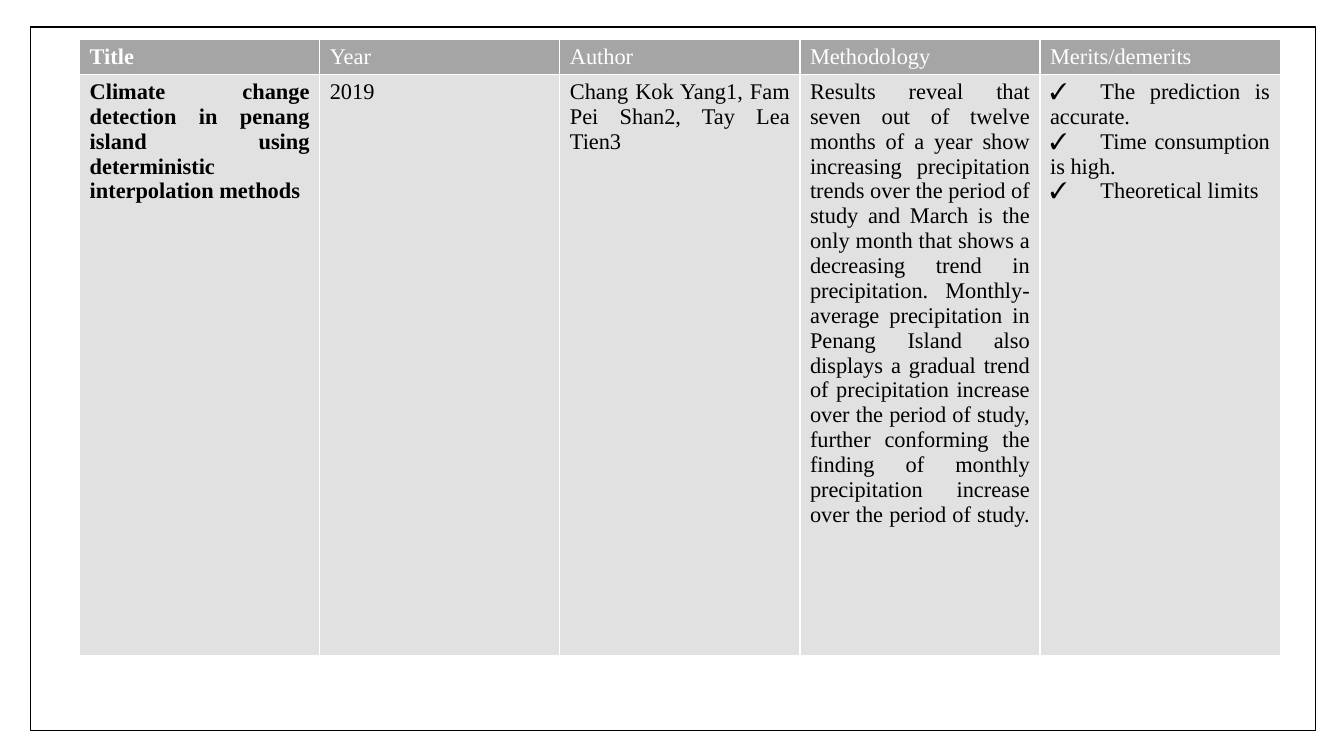
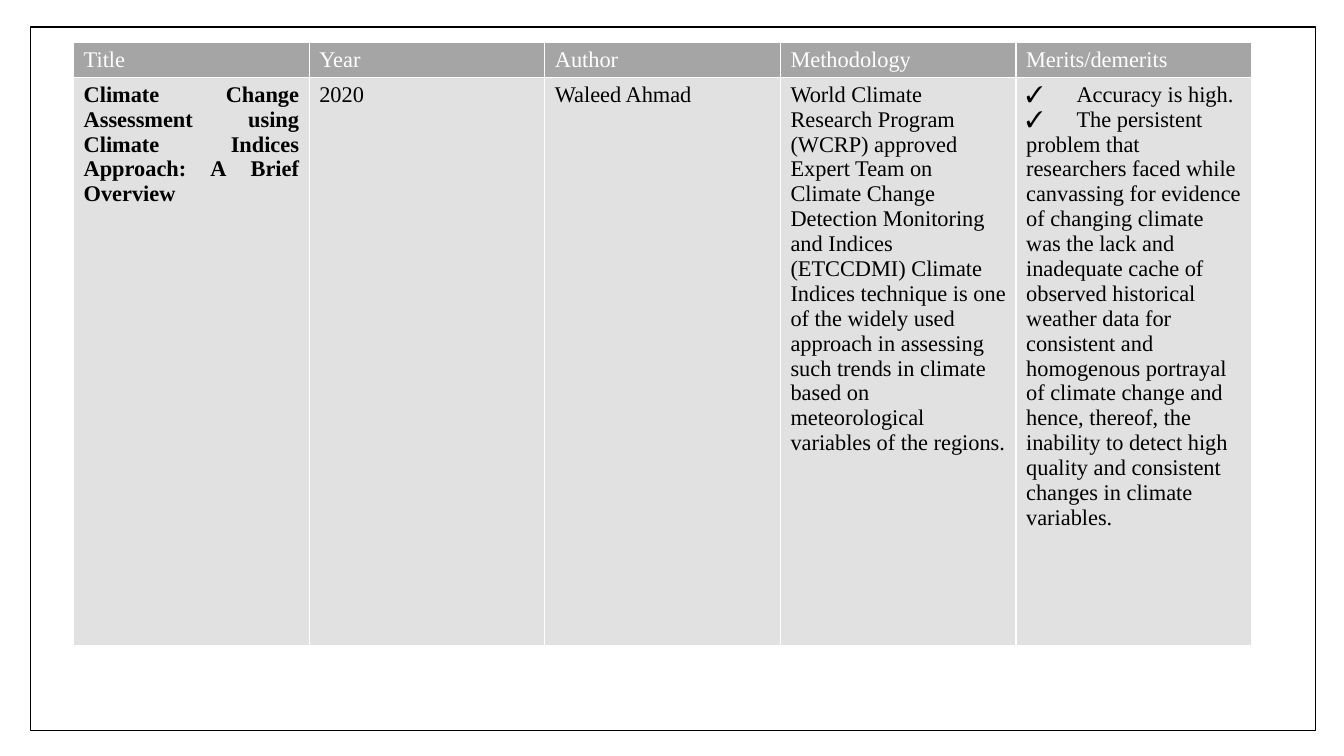
from lxml import etree
from pptx import Presentation
from pptx.dml import color
from pptx.enum import shapes, text
from pptx.oxml import ns
from pptx.util import Pt

FONT, SIZE = "Times New Roman", 16
WHITE, BLACK, HEAD, BODY = "FFFFFF", "000000", "A5A5A5", "E1E1E1"
HEADS = ["Title", "Year", "Author", "Methodology", "Merits/demerits"]
TICK = "\u2713\t"

# Each paper: table left and top, column width, row heights,
# count of justified cells, and one list of paragraphs per cell.
PAPERS = [
    dict(left=56.9, top=28.1, wide=171.5, rows=(24.5, 415.4), just=5, cells=[
        ["Climate change detection in penang island using deterministic "
         "interpolation methods"],
        ["2019"],
        ["Chang Kok Yang1, Fam Pei Shan2, Tay Lea Tien3"],
        ["Results reveal that seven out of twelve months of a year show "
         "increasing precipitation trends over the period of study and March "
         "is the only month that shows a decreasing trend in precipitation. "
         "Monthly-average precipitation in Penang Island also displays a "
         "gradual trend of precipitation increase over the period of study, "
         "further conforming the finding of monthly precipitation increase "
         "over the period of study. "],
        [TICK + "The prediction is accurate.",
         TICK + "Time consumption is high.",
         TICK + "Theoretical limits"],
    ]),
    dict(left=52.6, top=30.2, wide=168.3, rows=(22.3, 406.1), just=3, cells=[
        ["Climate Change Assessment using Climate Indices Approach: "
         "A Brief Overview"],
        ["2020"],
        ["Waleed Ahmad"],
        ["World Climate Research Program (WCRP) approved Expert Team on "
         "Climate Change Detection Monitoring and Indices (ETCCDMI) Climate "
         "Indices technique is one of the widely used approach in assessing "
         "such trends in climate based on meteorological variables of the "
         "regions. "],
        [TICK + "Accuracy is high.",
         TICK + "The persistent problem that researchers faced while "
         "canvassing for evidence of changing climate was the lack and "
         "inadequate cache of observed historical weather data for "
         "consistent and homogenous portrayal of climate change and hence, "
         "thereof, the inability to detect high quality and consistent "
         "changes in climate variables."],
    ]),
]


def paint(target, tint):
    """Give a fill a solid colour from a hex string."""
    target.solid()
    target.fore_color.rgb = color.RGBColor.from_string(tint)


def frame(slide):
    """Draw the thin border round the slide."""
    box = slide.shapes.add_shape(shapes.MSO_SHAPE.RECTANGLE, Pt(21.6),
                                 Pt(19.4), Pt(918), Pt(502.6))
    box.shadow.inherit = False
    box.fill.background()
    box.line.width = Pt(1)
    paint(box.line.fill, BLACK)


def edge(cell):
    """Put a white line on all four sides of a cell."""
    props = cell._tc.get_or_add_tcPr()
    for spot, side in enumerate("LRTB"):
        line = etree.Element(ns.qn("a:ln" + side), w=str(Pt(1)))
        fill = etree.SubElement(line, ns.qn("a:solidFill"))
        etree.SubElement(fill, ns.qn("a:srgbClr"), val=WHITE)
        props.insert(spot, line)


def write(cell, paras, tint, ink, bold=False, just=False):
    """Fill one cell with colour, border and paragraphs."""
    paint(cell.fill, tint)
    edge(cell)
    for spot, words in enumerate(paras):
        para = (cell.text_frame.add_paragraph() if spot
                else cell.text_frame.paragraphs[0])
        if just:
            para.alignment = text.PP_ALIGN.JUSTIFY
        run = para.add_run()
        run.text = words
        run.font.name, run.font.size, run.font.bold = FONT, Pt(SIZE), bold
        paint(run.font.fill, ink)


def grid(slide, paper, bold):
    """Add the table for one paper; bold marks its first heading."""
    rows, wide = paper["rows"], paper["wide"]
    table = slide.shapes.add_table(
        len(rows), len(HEADS), Pt(paper["left"]), Pt(paper["top"]),
        Pt(wide * len(HEADS)), Pt(sum(rows))).table
    table.horz_banding = False
    for row, high in zip(table.rows, rows):
        row.height = Pt(high)
    for col, (head, paras) in enumerate(zip(HEADS, paper["cells"])):
        table.columns[col].width = Pt(wide)
        write(table.cell(0, col), [head], HEAD, WHITE, bold and col == 0)
        write(table.cell(1, col), paras, BODY, BLACK, col == 0,
              col < paper["just"])


def main():
    """Build one slide for each paper and save the deck."""
    deck = Presentation()
    deck.slide_width, deck.slide_height = Pt(960), Pt(540)
    for spot, paper in enumerate(PAPERS):
        slide = deck.slides.add_slide(deck.slide_layouts[6])
        frame(slide)
        grid(slide, paper, bold=spot == 0)
    deck.save("out.pptx")


main()
